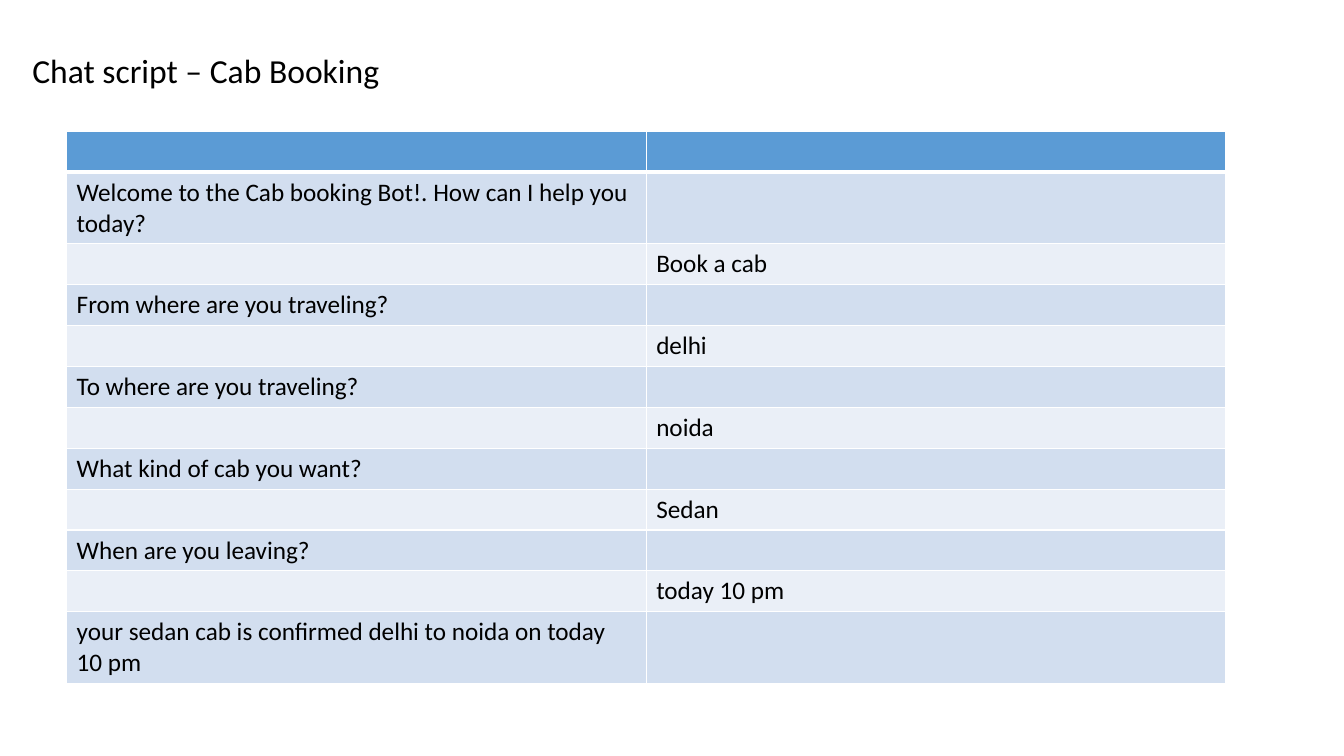
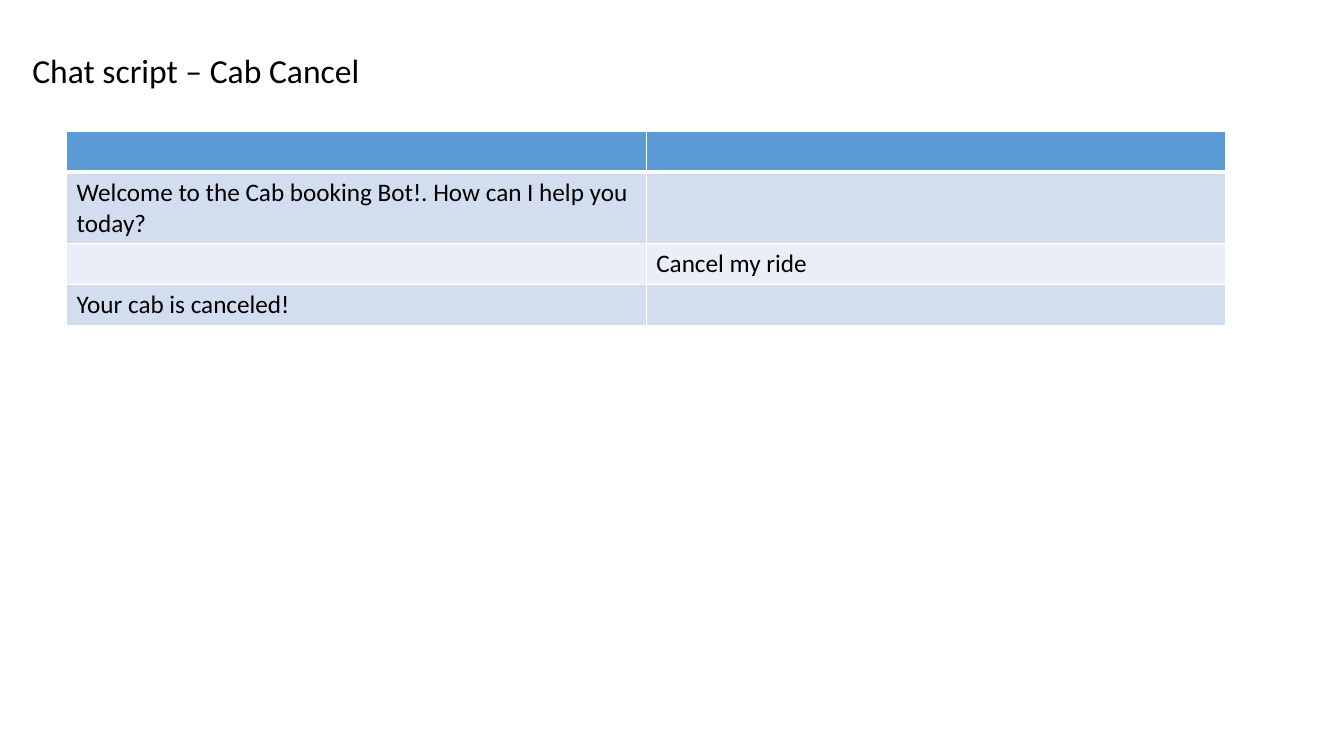
"""Build the chat script slides for the cab booking bot."""

import dataclasses
import typing

import lxml.etree
import pptx
import pptx.dml.color
import pptx.enum.text
import pptx.oxml.ns
import pptx.presentation
import pptx.slide
import pptx.table
import pptx.util

Cm = pptx.util.Cm
Pt = pptx.util.Pt
RGB = pptx.dml.color.RGBColor


@dataclasses.dataclass(frozen=True)
class Theme:
    font: str = "Calibri"
    ink: RGB = RGB.from_string("000000")
    header: RGB = RGB.from_string("5B9BD5")
    bands: tuple[RGB, RGB] = (RGB.from_string("D2DEEF"), RGB.from_string("EAEFF7"))
    rule: RGB = RGB.from_string("FFFFFF")
    title_size: int = 24
    message_size: int = 18
    thin_rule: int = 1
    thick_rule: int = 3


@dataclasses.dataclass(frozen=True)
class Conversation:
    title: str
    messages: tuple[str, ...]


THEME = Theme()
SLIDE_SIZE = {"slide_width": Cm(33.87), "slide_height": Cm(19.05)}
TITLE_PLACE = {"left": Cm(0.56), "top": Cm(0), "width": Cm(29.21), "height": Cm(3.68)}
TITLE_FRAME = {"vertical_anchor": pptx.enum.text.MSO_ANCHOR.MIDDLE, "word_wrap": True}
TITLE_PARAGRAPH = {"alignment": pptx.enum.text.PP_ALIGN.LEFT, "line_spacing": 0.9}
SPEAKERS = 2
TABLE_LEFT, TABLE_TOP, TABLE_WIDTH = Cm(1.68), Cm(3.31), Cm(29.21)
ROW_HEIGHT = Cm(1.03)

GREETING = "Welcome to the Cab booking Bot!. How can I help you today?"
CONVERSATIONS = (
    Conversation(
        "Chat script – Cab Booking",
        (
            GREETING,
            "Book a cab",
            "From where are you traveling?",
            "delhi",
            "To where are you traveling?",
            "noida",
            "What kind of cab you want?",
            "Sedan",
            "When are you leaving?",
            "today 10 pm",
            "your sedan cab is confirmed delhi to noida on today 10 pm",
        ),
    ),
    Conversation(
        "Chat script – Cab Cancel",
        (GREETING, "Cancel my ride", "Your cab is canceled!"),
    ),
)


def apply_format(target: typing.Any, values: dict[str, typing.Any]) -> None:
    for attribute, value in values.items():
        setattr(target, attribute, value)


def write_text(frame: typing.Any, wording: str, size: int) -> None:
    frame.text = wording
    font = frame.paragraphs[0].runs[0].font
    apply_format(font, {"name": THEME.font, "size": Pt(size), "bold": False})
    font.color.rgb = THEME.ink


def add_title(slide: pptx.slide.Slide, wording: str) -> None:
    title = slide.shapes.title
    apply_format(title, TITLE_PLACE)
    write_text(title.text_frame, wording, THEME.title_size)
    apply_format(title.text_frame, TITLE_FRAME)
    apply_format(title.text_frame.paragraphs[0], TITLE_PARAGRAPH)


def set_borders(cell: typing.Any, top: int, bottom: int) -> None:
    qn = pptx.oxml.ns.qn
    properties = cell._tc.get_or_add_tcPr()
    widths = {"lnL": THEME.thin_rule, "lnR": THEME.thin_rule, "lnT": top, "lnB": bottom}
    for position, (edge, width) in enumerate(widths.items()):
        line = lxml.etree.Element(qn(f"a:{edge}"), w=str(Pt(width)))
        fill = lxml.etree.SubElement(line, qn("a:solidFill"))
        lxml.etree.SubElement(fill, qn("a:srgbClr"), val=str(THEME.rule))
        properties.insert(position, line)


def style_row(table: pptx.table.Table, row: int) -> None:
    top = THEME.thick_rule if row == 1 else THEME.thin_rule
    bottom = THEME.thick_rule if row == 0 else THEME.thin_rule
    table.rows[row].height = ROW_HEIGHT
    for cell in table.rows[row].cells:
        cell.fill.solid()
        cell.fill.fore_color.rgb = THEME.bands[(row - 1) % 2] if row else THEME.header
        set_borders(cell, top, bottom)


def add_dialogue(slide: pptx.slide.Slide, messages: tuple[str, ...]) -> None:
    row_count = len(messages) + 1
    dialogue = slide.shapes.add_table(
        row_count, SPEAKERS, TABLE_LEFT, TABLE_TOP, TABLE_WIDTH, ROW_HEIGHT * row_count
    ).table
    for row in range(row_count):
        style_row(dialogue, row)
    for turn, message in enumerate(messages):
        cell = dialogue.cell(turn + 1, turn % SPEAKERS)
        write_text(cell.text_frame, message, THEME.message_size)


def add_conversation(deck: pptx.presentation.Presentation, conversation: Conversation) -> None:
    slide = deck.slides.add_slide(deck.slide_layouts.get_by_name("Title Only"))
    add_title(slide, conversation.title)
    add_dialogue(slide, conversation.messages)


def main() -> None:
    deck = pptx.Presentation()
    apply_format(deck, SLIDE_SIZE)
    for conversation in CONVERSATIONS:
        add_conversation(deck, conversation)
    deck.save("out.pptx")


if __name__ == "__main__":
    main()
